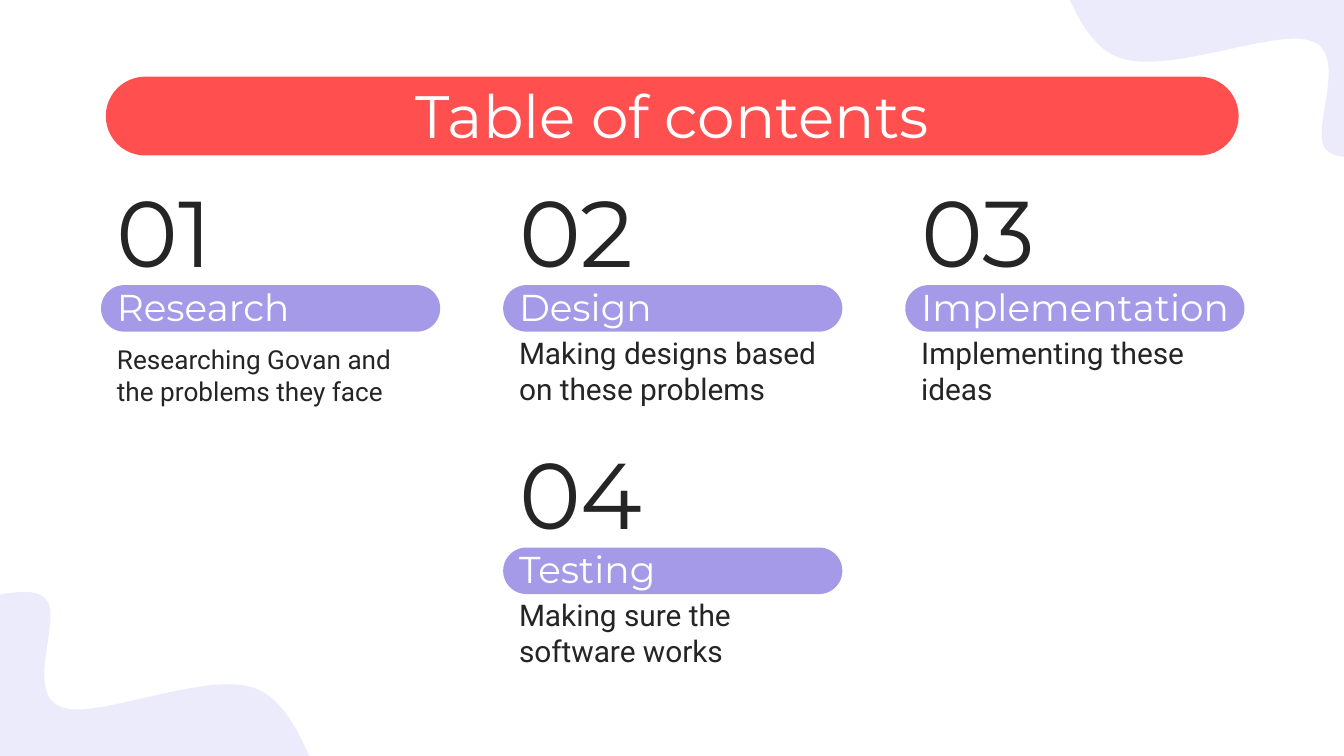
from lxml.etree import SubElement
from pptx import Presentation
from pptx.dml.color import RGBColor
from pptx.enum.shapes import MSO_SHAPE
from pptx.enum.text import MSO_ANCHOR, PP_ALIGN
from pptx.oxml.ns import qn
from pptx.util import Cm, Pt

COLORS = {"banner": "FF4F4F", "pill": "A59AE8", "blob": "C8C4F7",
          "dark": "252525", "white": "FFFFFF"}

prs = Presentation()
prs.slide_width, prs.slide_height = Cm(25.4), Cm(14.29)
s = prs.slides.add_slide(prs.slide_layouts[6])


def add_text(text, x, y, w, h, size=16, font="Montserrat", color="dark",
             align=PP_ALIGN.LEFT, anchor=MSO_ANCHOR.BOTTOM):
    tf = s.shapes.add_textbox(Cm(x), Cm(y), Cm(w), Cm(h)).text_frame
    tf.word_wrap = True
    tf.vertical_anchor = anchor
    tf.margin_left = tf.margin_right = Cm(0.25)
    tf.margin_top = tf.margin_bottom = Cm(0.25)
    p = tf.paragraphs[0]
    p.alignment = align
    r = p.add_run()
    r.text = text
    r.font.size, r.font.name = Pt(size), font
    r.font.color.rgb = RGBColor.from_string(COLORS[color])


def paint(sp, color):
    sp.shadow.inherit = False
    sp.fill.solid()
    sp.fill.fore_color.rgb = RGBColor.from_string(COLORS[color])
    sp.line.fill.background()


# Corner blobs: one curved outline, each curve two handles and an end point
BLOB_W, BLOB_H = 9.68, 3.43
start = (0.61, 0.2)
curves = [
    ((1, 0.66), (2.06, 2.67), (3.07, 2.88)),
    ((4.07, 3.12), (5.9, 1.41), (6.65, 1.5)),
    ((7.39, 1.58), (7.08, 3.17), (7.52, 3.38)),
    ((7.93, 3.59), (8.89, 2.83), (9.18, 2.74)),
    ((9.49, 2.64), (9.38, 3.19), (9.38, 2.78)),
    ((9.36, 2.39), (9.21, 0.76), (9.15, 0.33)),
    ((9.1, -0.11), (10.4, 0.22), (9.01, 0.21)),
    ((7.59, 0.18), (2.15, 0.19), (0.76, 0.18)),
    ((-0.65, 0.2), (0.08, -0.19), start),
]
for left, top, angle in [(18.19, -1.27, 17.7), (-1.91, 11.96, 196.9)]:
    builder = s.shapes.build_freeform(0, 0)
    builder.add_line_segments([(Cm(BLOB_W), Cm(BLOB_H))])
    sp = builder.convert_to_shape()
    sp.left, sp.top, sp.rotation = Cm(left), Cm(top), angle
    # The diagonal only sets the frame; the curves take its place
    geometry = next(sp._element.iter(qn("a:path")))
    for segment in list(geometry):
        geometry.remove(segment)
    for tag, points in [("a:moveTo", [start])] + [("a:cubicBezTo", c) for c in curves]:
        segment = SubElement(geometry, qn(tag))
        for x, y in points:
            SubElement(segment, qn("a:pt"), x=str(Cm(x)), y=str(Cm(y)))
    SubElement(geometry, qn("a:close"))
    paint(sp, "blob")
    clr = next(sp._element.spPr.iter(qn("a:srgbClr")))
    SubElement(clr, qn("a:alpha")).set("val", "33000")

# Pills: the title banner, then one for each heading
sections = [
    (0, 0, "Research", "Researching Govan and the problems they face", 14),
    (1, 0, "Design", "Making designs based on these problems", 16),
    (2, 0, "Implementation", "Implementing these ideas", 16),
    (1, 1, "Testing", "Making sure the software works", 16),
]
X, Y, COL_STEP, ROW_STEP = 1.96, 3.88, 7.6, 4.96
pills = [(2, 1.45, 21.41, 1.49, "banner")]
pills += [(X - 0.05 + COL_STEP * col, Y + 1.51 + ROW_STEP * row, 6.41, 0.88, "pill")
          for col, row, *_ in sections]
for x, y, w, h, color in pills:
    sp = s.shapes.add_shape(MSO_SHAPE.ROUNDED_RECTANGLE, Cm(x), Cm(y), Cm(w), Cm(h))
    sp.adjustments[0] = 0.5
    paint(sp, color)

# Title
add_text("Table of contents", 2, 1.24, 21.41, 1.6, size=32, color="white",
         align=PP_ALIGN.CENTER, anchor=MSO_ANCHOR.TOP)

# Numbers, headings and descriptions
for n, (col, row, heading, description, size) in enumerate(sections, 1):
    x, y = X + COL_STEP * col, Y + ROW_STEP * row
    add_text(f"{n:02d}", x, y, 4.5, 1.78, size=50)
    add_text(heading, x, y + 1.39, 6.43, 1.19, size=20, color="white")
    add_text(description, x, y + 2.55, 6.43, 1.5, size=size, font="Roboto")

prs.save("out.pptx")
